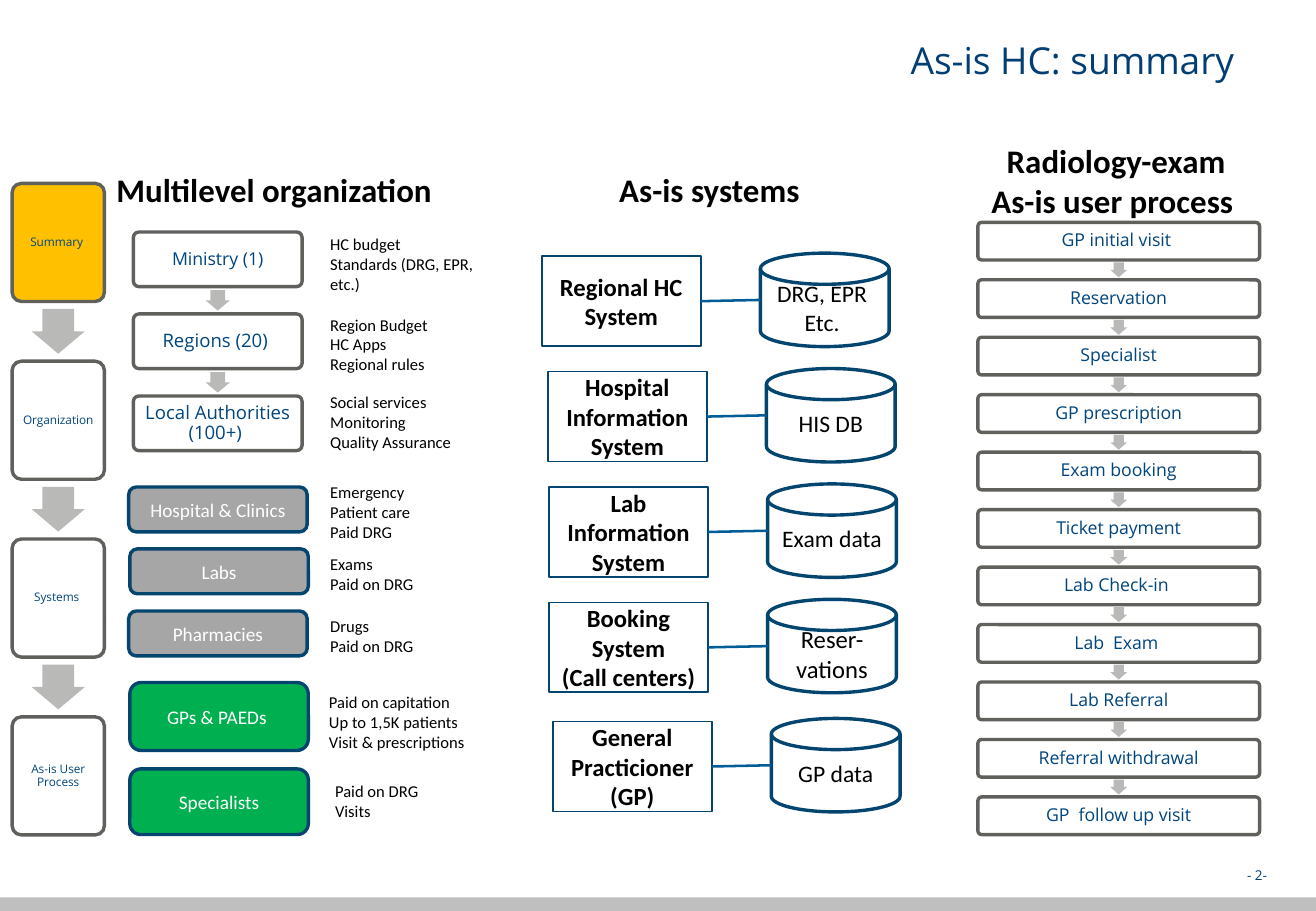
from lxml.etree import SubElement
from pptx import Presentation
from pptx.dml.color import RGBColor
from pptx.enum.shapes import MSO_CONNECTOR as CONN, MSO_SHAPE as SHAPE
from pptx.enum.text import MSO_ANCHOR as ANCHOR, PP_ALIGN as ALIGN
from pptx.oxml.ns import qn
from pptx.util import Pt

NAVY = RGBColor(0x00, 0x3E, 0x74)
BLUE = RGBColor(0x00, 0x45, 0x7E)
EDGE = RGBColor(0x04, 0x45, 0x70)
LINK = RGBColor(0x02, 0x5C, 0x98)
DARK = RGBColor(0x60, 0x61, 0x5D)
ARROW = RGBColor(0xB9, 0xBA, 0xB8)
GREY = RGBColor(0xA6, 0xA6, 0xA6)
BAR = RGBColor(0xBF, 0xBF, 0xBF)
GREEN = RGBColor(0x00, 0xB0, 0x50)
GOLD = RGBColor(0xFF, 0xC0, 0x00)
WHITE = RGBColor(0xFF, 0xFF, 0xFF)
BLACK = RGBColor(0x00, 0x00, 0x00)
SANS, BODY = "Open Sans", "Calibri"

NAV = ["Summary ", "Organization ", "Systems ", "As-is User Process"]
LEVELS = [("Ministry (1)", 10.5), ("Regions (20) ", 11),
          ("Local Authorities (100+) ", 11)]
PROVIDERS = [
    ("Hospital & Clinics", 14.4, 191.5, 26.6, GREY),
    ("Labs", 15.1, 228.2, 26.6, GREY),
    ("Pharmacies", 14.4, 265, 26.6, GREY),
    ("GPs & PAEDs ", 15.1, 307.4, 40.3, GREEN),
    ("Specialists", 15.1, 358.6, 38.9, GREEN),
]
NOTES = [
    (126.7, 38.2, 112.3, ["HC budget", "Standards (DRG, EPR, etc.)"]),
    (126.7, 85.7, 112.3, ["Region Budget", "HC Apps", "Regional rules"]),
    (126.7, 131.8, 126, ["Social services", "Monitoring", "Quality Assurance"]),
    (126.7, 185, 126, ["Emergency", "Patient care", "Paid DRG"]),
    (126.7, 227.5, 126, ["Exams", "Paid on DRG"]),
    (126.7, 264.2, 126, ["Drugs", "Paid on DRG"]),
    (126, 309.6, 152.6, ["Paid on capitation", "Up to 1,5K patients",
                         "Visit & prescriptions"]),
    (129.6, 362.2, 126, ["Paid on DRG", "Visits"]),
]
SYSTEMS = [
    (4.3, 54.7, ["Regional HC System"], ["DRG, EPR ", "Etc. "], 14),
    (7.9, 123.1, ["Hospital Information System"], ["HIS DB"], 14),
    (8.6, 191.5, ["Lab Information System"], ["Exam data"], 14),
    (8.6, 259.9, ["Booking System", "(Call centers)"], ["Reser-vations"], 14.6),
    (10.8, 330.5, ["General Practicioner (GP)"], ["GP data"], 14),
]
PROCESS = ["GP initial visit ", "Reservation", "Specialist", "GP prescription",
           "Exam booking", "Ticket payment", "Lab Check-in ", "Lab  Exam ",
           "Lab Referral", "Referral withdrawal", "GP  follow up visit"]


def write(tf, lines, size, color, font=BODY, bold=False, align=ALIGN.CENTER,
          spacing=1.0, anchor=ANCHOR.MIDDLE, inset=(5.8, 2.9)):
    tf.word_wrap = True
    tf.vertical_anchor = anchor
    tf.margin_left = tf.margin_right = Pt(inset[0])
    tf.margin_top = tf.margin_bottom = Pt(inset[1])
    for i, line in enumerate(lines):
        p = tf.add_paragraph() if i else tf.paragraphs[0]
        p.alignment = align
        p.line_spacing = spacing
        r = p.add_run()
        r.text = line
        r.font.size = Pt(size)
        r.font.name = font
        r.font.bold = bold
        r.font.color.rgb = color


def add_box(s, kind, x, y, w, h, fill=None, line=None, weight=2):
    sp = s.shapes.add_shape(kind, Pt(x), Pt(y), Pt(w), Pt(h))
    sp.shadow.inherit = False
    if fill is None:
        sp.fill.background()
    else:
        sp.fill.solid()
        sp.fill.fore_color.rgb = fill
    if line is None:
        sp.line.fill.background()
    else:
        sp.line.color.rgb = line
        sp.line.width = Pt(weight)
    return sp


def add_text(s, x, y, w, h, lines, size, color, **style):
    sp = s.shapes.add_textbox(Pt(x), Pt(y), Pt(w), Pt(h))
    write(sp.text_frame, lines, size, color, **style)


def add_heading(s, x, y, w, h, lines, align=ALIGN.CENTER):
    add_text(s, x, y, w, h, lines, 19.5, BLACK, bold=True, align=align,
             anchor=ANCHOR.TOP, inset=(7.2, 3.6))


def add_chain(s, x, y, w, h, pitch, steps, first_fill=WHITE):
    gap = pitch - h
    arrow_w, arrow_h = 0.45 * h, 0.75 * gap
    for i, (label, size) in enumerate(steps):
        top = y + i * pitch
        sp = add_box(s, SHAPE.ROUNDED_RECTANGLE, x, top, w, h,
                     WHITE if i else first_fill, DARK)
        sp.adjustments[0] = 0.1
        write(sp.text_frame, [label], size, BLUE, font=SANS, spacing=0.9,
              inset=(4, 3.6))
        if i:
            arrow = add_box(s, SHAPE.DOWN_ARROW, x + (w - arrow_w) / 2,
                            top - (gap + arrow_h) / 2, arrow_w, arrow_h, ARROW)
            arrow.adjustments[0] = 0.6
            arrow.adjustments[1] = 0.5


def add_title(s, x, y, w, h):
    sp = s.shapes.title
    sp.left, sp.top, sp.width, sp.height = Pt(x), Pt(y), Pt(w), Pt(h)
    write(sp.text_frame, ["As-is HC: summary "], 22, NAVY, font=SANS,
          align=ALIGN.RIGHT, spacing=1.05, anchor=ANCHOR.TOP, inset=(7.2, 2.9))


def add_footer(s, x, y, w, h):
    add_box(s, SHAPE.RECTANGLE, x, y, w, h, BAR)
    add_text(s, x + w - 140.6, y - 21, 117.4, 16, ["- 2-"], 8, NAVY, font=SANS,
             align=ALIGN.RIGHT)


def add_navigation(s, x, y, w):
    add_chain(s, x, y, w, 70, 105.4, [(label, 7) for label in NAV], GOLD)


def add_organization(s, x, y, w):
    add_heading(s, x, y, w, 31, ["Multilevel organization"], ALIGN.LEFT)
    add_chain(s, x + 17.2, y + 40.3, 100, 32.4, 48.6, LEVELS)
    for name, dx, dy, h, fill in PROVIDERS:
        sp = add_box(s, SHAPE.ROUNDED_RECTANGLE, x + dx, y + dy, 105.8, h,
                     fill, EDGE)
        write(sp.text_frame, [name], 11.4, WHITE)
    for dx, dy, note_w, lines in NOTES:
        add_text(s, x + dx, y + dy, note_w, 7.2 + 11.8 * len(lines), lines, 9.8,
                 BLACK, align=ALIGN.LEFT, anchor=ANCHOR.TOP, inset=(7.2, 3.6))


def add_systems(s, x, y, w):
    add_heading(s, x, y, w, 31, ["As-is systems"])
    for dx, dy, system, store, size in SYSTEMS:
        left, top = x + dx, y + dy
        rect = add_box(s, SHAPE.RECTANGLE, left, top, 94.3, 53.3, None, EDGE, 1)
        write(rect.text_frame, system, 14.6, BLACK, bold=True)
        disk = add_box(s, SHAPE.FLOWCHART_MAGNETIC_DISK, left + 129.6, top - 1.8,
                       76.3, 55.4, None, EDGE)
        write(disk.text_frame, store, size, BLACK)
        link = s.shapes.add_connector(CONN.STRAIGHT, Pt(left + 94.3),
                                      Pt(top + 26.65), disk.left,
                                      disk.top + disk.height // 2)
        link.begin_connect(rect, 3)
        link.line.color.rgb = LINK
        link.line.width = Pt(1.5)
        SubElement(link._element.spPr, qn("a:effectLst"))


def add_process(s, x, y, w):
    add_heading(s, x, y, w - 3, 54.7, ["Radiology-exam", "As-is user process "])
    add_chain(s, x, y + 51.9, w, 22.3, 34.06, [(label, 10.5) for label in PROCESS])


def main():
    prs = Presentation()
    prs.slide_width, prs.slide_height = Pt(780), Pt(540)
    s = prs.slides.add_slide(prs.slide_layouts[5])
    add_title(s, 115.2, 18, 629.3, 76.3)
    add_footer(s, 0, 532, 780, 8)
    add_navigation(s, 7.2, 108.7, 54.7)
    add_organization(s, 61.9, 97.2, 207.4)
    add_systems(s, 316.8, 97.2, 207.4)
    add_process(s, 579.6, 79.9, 167)
    prs.save("out.pptx")


if __name__ == "__main__":
    main()
